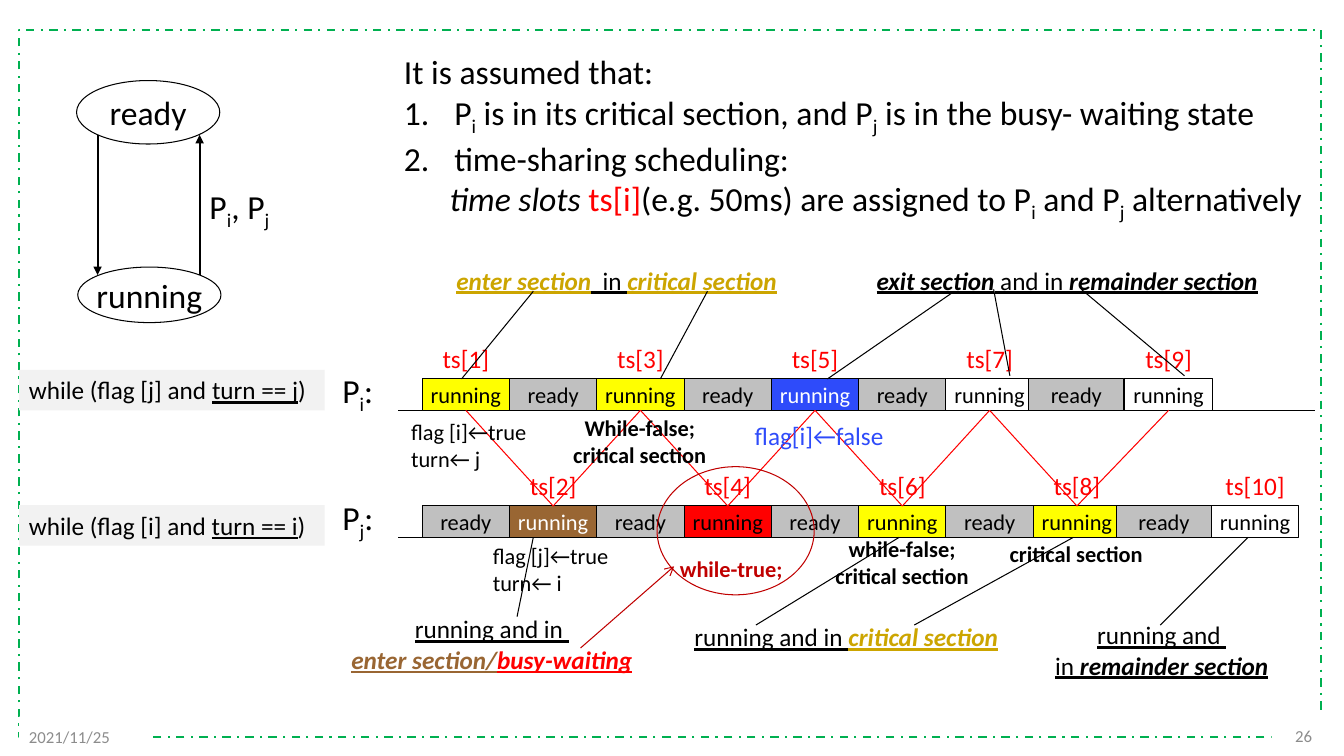
from lxml import etree
from pptx import Presentation
from pptx.dml.color import RGBColor
from pptx.enum.dml import MSO_LINE
from pptx.enum.shapes import MSO_CONNECTOR, MSO_SHAPE
from pptx.enum.text import MSO_ANCHOR, PP_ALIGN
from pptx.oxml.ns import qn
from pptx.util import Cm, Pt

RECT, OVAL = MSO_SHAPE.RECTANGLE, MSO_SHAPE.OVAL
STRAIGHT = MSO_CONNECTOR.STRAIGHT
DASH_DOT = MSO_LINE.DASH_DOT
LEFT, CENTER, RIGHT = PP_ALIGN.LEFT, PP_ALIGN.CENTER, PP_ALIGN.RIGHT
TOP, MIDDLE = MSO_ANCHOR.TOP, MSO_ANCHOR.MIDDLE

BLACK = RGBColor(0x00, 0x00, 0x00)
WHITE = RGBColor(0xFF, 0xFF, 0xFF)
GREEN = RGBColor(0x00, 0xB0, 0x50)
FOOTER_GRAY = RGBColor(0x8C, 0x8C, 0x8C)
READY_GRAY = RGBColor(0xC0, 0xC0, 0xC0)
CODE_GRAY = RGBColor(0xF2, 0xF2, 0xF2)
BROWN = RGBColor(0x99, 0x66, 0x33)
YELLOW = RGBColor(0xFF, 0xFF, 0x00)
GOLD = RGBColor(0xCC, 0xA5, 0x00)
BLUE = RGBColor(0x2E, 0x4B, 0xFA)
RED = RGBColor(0xFF, 0x00, 0x00)
DARK_RED = RGBColor(0xC0, 0x00, 0x00)

FONT = "Calibri"
SLOT_LEFT, SLOT_W, SLOT_H, WIDE_W = 10.64, 2.2, 0.79, 2.39
PI_TOP, PJ_TOP = 9.55, 12.75


def write(tf, paragraphs, size, color=BLACK, align=LEFT, bold=None, wrap=False, anchor=TOP):
    """Fill a frame; a paragraph is a string or a list of (text, flags, color) runs.

    Flags: b bold, i italic, u underline, _ subscript.
    """
    tf.word_wrap = wrap
    tf.vertical_anchor = anchor
    for n, runs in enumerate(paragraphs):
        p = tf.add_paragraph() if n else tf.paragraphs[0]
        p.alignment = align
        p.font.name, p.font.size, p.font.bold = FONT, Pt(size), bold
        p.font.color.rgb = color
        for text, flags, run_color in [(runs, "", None)] if isinstance(runs, str) else runs:
            r = p.add_run()
            r.text = text
            if "b" in flags:
                r.font.bold = True
            if "i" in flags:
                r.font.italic = True
            if "u" in flags:
                r.font.underline = True
            if "_" in flags:
                r.font._element.set("baseline", "-25000")
            if run_color is not None:
                r.font.color.rgb = run_color


def add_text(s, box, paragraphs, size, **style):
    sp = s.shapes.add_textbox(*map(Cm, box))
    write(sp.text_frame, paragraphs, size, **style)
    return sp


def add_box(s, kind, box, fill=None, line=None, width=0.75):
    sp = s.shapes.add_shape(kind, *map(Cm, box))
    sp.shadow.inherit = False
    if fill is None:
        sp.fill.background()
    else:
        sp.fill.solid()
        sp.fill.fore_color.rgb = fill
    if line is None:
        sp.line.fill.background()
    else:
        sp.line.color.rgb = line
        sp.line.width = Pt(width)
    return sp


def add_line(s, start, end, color=BLACK, width=0.75, arrow=None):
    cxn = s.shapes.add_connector(STRAIGHT, *map(Cm, start + end))
    cxn.line.color.rgb = color
    cxn.line.width = Pt(width)
    if arrow:
        etree.SubElement(cxn.line._get_or_add_ln(), qn("a:tailEnd"), type=arrow)
    etree.SubElement(cxn._element.spPr, qn("a:effectLst"))


def number_paragraph(p, number):
    pPr = p._p.get_or_add_pPr()
    pPr.set("marL", str(Cm(1.27)))
    pPr.set("indent", str(-Cm(1.27)))
    bullet = etree.Element(qn("a:buAutoNum"), type="arabicPeriod", startAt=str(number))
    pPr.insert(0, bullet)


def add_timeline(s, top, axis_end, running_fills, first_running, late_lefts):
    """Draw alternating ready/running slots and return the slot centres."""
    axis = top + SLOT_H
    add_line(s, (10.03, axis), (axis_end, axis))
    count = 2 * len(running_fills) - 1 + first_running
    regular = count - len(late_lefts)
    lefts = [SLOT_LEFT + SLOT_W * k for k in range(regular)] + late_lefts
    fills = iter(running_fills)
    for k, left in enumerate(lefts):
        running = k % 2 == first_running
        fill = next(fills) if running else READY_GRAY
        width = WIDE_W if k >= regular and not running else SLOT_W
        sp = add_box(s, RECT, (left, top, width, SLOT_H), fill, BLACK)
        write(sp.text_frame, ["running" if running else "ready"], 16, align=CENTER, anchor=MIDDLE,
              color=WHITE if fill in (BROWN, BLUE) else BLACK)
    return [left + SLOT_W / 2 for left in lefts]


def add_frame(s):
    border = add_box(s, RECT, (0.48, 0.76, 32.82, 17.81), line=GREEN, width=1.5)
    border.line.dash_style = DASH_DOT
    for text, box, align in (("26", (32.05, 18.03, 1.27, 1.02), RIGHT),
                             ("2021/11/25", (0.48, 18.06, 3.35, 1.02), LEFT)):
        sp = add_box(s, RECT, box, WHITE)
        write(sp.text_frame, [text], 12, FOOTER_GRAY, align, wrap=True, anchor=MIDDLE)


def add_state_diagram(s):
    for state, box in (("ready", (1.93, 2.03, 3.61, 1.6)), ("running", (1.96, 6.73, 3.61, 1.4))):
        sp = add_box(s, OVAL, box, line=BLACK)
        write(sp.text_frame, [state], 24, align=CENTER, anchor=MIDDLE)
    add_line(s, (2.46, 3.4), (2.46, 6.93), width=1.5, arrow="triangle")
    add_line(s, (5.03, 6.93), (5.03, 3.4), width=1.5, arrow="triangle")
    add_text(s, (5.03, 4.55, 2.06, 1.27),
             [[("P", "", None), ("i", "_", None), (", P", "", None), ("j", "_", None)]], 24)


def add_assumptions(s):
    sp = add_text(s, (9.93, 1.17, 23.6, 4.37), [
        "It is assumed that:",
        [("P", "", None), ("i", "_", None), (" is in its critical section, and P", "", None),
         ("j", "_", None), (" is in the busy- waiting state", "", None)],
        "time-sharing scheduling:",
        [("time slots ", "i", None), ("ts[i]", "", RED), ("(e.g. 50ms) are assigned to P", "", None),
         ("i", "_", None), (" and P", "", None), ("j", "_", None), (" alternatively", "", None)],
    ], 24, wrap=True)
    _, first, second, slots = sp.text_frame.paragraphs
    number_paragraph(first, 1)
    number_paragraph(second, 2)
    slots._p.get_or_add_pPr().set("marL", str(Cm(1.15)))


def add_timelines(s):
    pi = add_timeline(s, PI_TOP, 33.15, [YELLOW, YELLOW, BLUE, WHITE, WHITE], 0, [25.93, 28.35])
    pj = add_timeline(s, PJ_TOP, 32.23, [BROWN, RED, YELLOW, YELLOW, WHITE], 1, [28.14, 30.53])
    for name, other, top, code_top in (("i", "j", PI_TOP, 9.32), ("j", "i", PJ_TOP, 12.73)):
        add_text(s, (8.38, top - 0.36, 1.32, 1.27),
                 [[("P", "", None), (name, "_", None), (":", "", None)]], 24)
        sp = add_box(s, RECT, (0.48, code_top, 7.7, 1.02), CODE_GRAY)
        write(sp.text_frame, [[(f"while (flag [{other}] and ", "", None),
                               (f"turn == {other}", "u", None), (")", "", None)]], 18, wrap=True)

    turns = []
    for x_i, x_j in zip(pi[0::2], pj[1::2]):
        turns += [(x_i, PI_TOP), (x_j, PJ_TOP)]
    for n, (x, top) in enumerate(turns, 1):
        label = f"ts[{n}]"
        width = 0.35 * len(label)
        add_text(s, (x - width / 2, top - 1.02, width, 1.02), [label], 18, color=RED, align=CENTER)
    corners = [(x, PI_TOP + SLOT_H if top == PI_TOP else top) for x, top in turns[:9]]
    for start, end in zip(corners, corners[1:]):
        add_line(s, start, end, RED)


def add_section_labels(s):
    gold = ("critical section", "biu", GOLD)
    for box, paragraphs, align in (
        ((11.25, 6.55, 8.64, 1.02),
         [[("enter section", "biu", GOLD), ("  in ", "u", None), gold]], LEFT),
        ((21.84, 6.55, 10.24, 1.02),
         [[("exit section", "biu", None), (" and in ", "u", None),
           ("remainder section", "biu", None)]], LEFT),
        ((8.56, 15.34, 7.67, 1.8),
         [[("running and in ", "u", None)],
          [("enter section/", "biu", BROWN), ("busy-waiting", "biu", RED)]], CENTER),
        ((17.25, 15.54, 8.2, 1.02), [[("running and in ", "u", None), gold]], LEFT),
        ((26.31, 15.49, 5.94, 1.8),
         [[("running and ", "u", None)],
          [("in ", "u", None), ("remainder section", "biu", None)]], CENTER),
    ):
        add_text(s, box, paragraphs, 18, align=align)
    for start, end in (
        ((11.63, 9.55), (13.44, 7.34)), ((16.64, 9.55), (17.83, 7.34)),
        ((20.85, 9.55), (24.05, 7.34)), ((25.45, 9.47), (25.04, 7.29)),
        ((29.85, 9.47), (27.25, 7.29)), ((13.44, 13.54), (13.03, 15.54)),
        ((22.66, 13.54), (19.05, 15.75)), ((27.05, 13.54), (23.04, 15.75)),
        ((31.45, 13.54), (29.24, 15.75)),
    ):
        add_line(s, start, end)
    add_line(s, (14.63, 16.33), (16.99, 14.27), DARK_RED, arrow="arrow")


def add_slot_notes(s):
    for box, lines, color in (
        ((14.12, 10.31, 4.01, 1.63), ["While-false;", "critical section"], BLACK),
        ((16.84, 13.87, 3.18, 0.94), ["while-true;"], DARK_RED),
        ((20.73, 13.36, 4.01, 1.63), ["while-false;", "critical section"], BLACK),
        ((25.12, 13.49, 4.01, 0.94), ["critical section"], BLACK),
    ):
        add_text(s, box, lines, 16, color=color, align=CENTER, bold=True)
    add_box(s, OVAL, (16.56, 11.76, 3.96, 3.23), line=DARK_RED)
    add_text(s, (18.77, 10.46, 3.94, 1.02), ["flag[i]←false"], 18, color=BLUE)
    add_text(s, (10.11, 10.41, 3.94, 1.63), ["flag [i]←true", "turn← j"], 16, wrap=True)
    add_text(s, (12.17, 13.54, 3.94, 1.63), ["flag [j]←true", "turn← i"], 16, wrap=True)


def main():
    prs = Presentation()
    prs.slide_width, prs.slide_height = Cm(33.87), Cm(19.05)
    s = prs.slides.add_slide(prs.slide_layouts[6])
    add_frame(s)
    add_state_diagram(s)
    add_assumptions(s)
    add_timelines(s)
    add_section_labels(s)
    add_slot_notes(s)
    prs.save("out.pptx")


if __name__ == "__main__":
    main()
